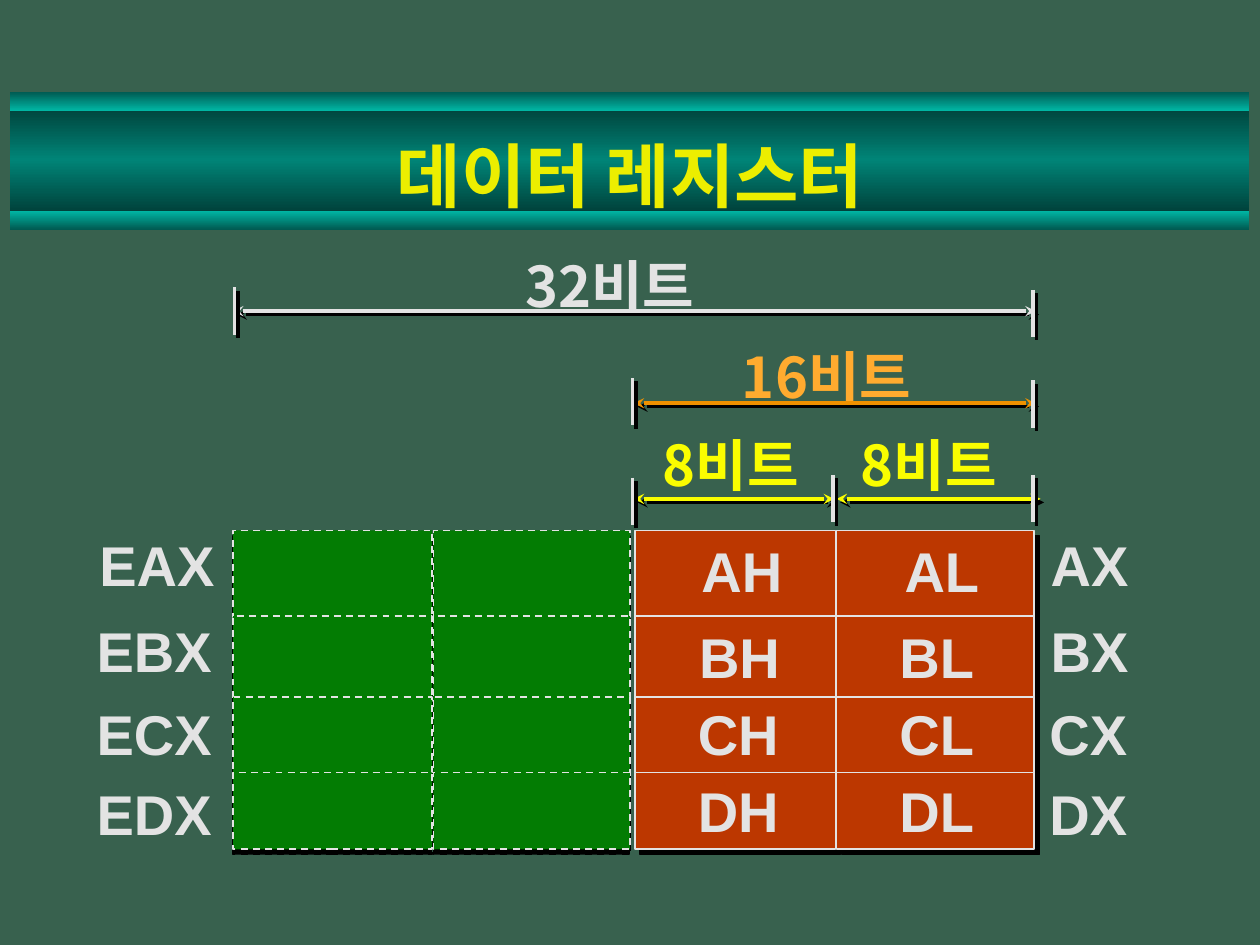
from dataclasses import dataclass
from typing import NamedTuple, Optional

from lxml import etree
from pptx import Presentation
from pptx import util as u
from pptx.dml.color import RGBColor
from pptx.enum import dml, shapes, text
from pptx.oxml.ns import qn


@dataclass(frozen=True)
class Theme:
    background: str = "38614E"
    title: str = "ECEE00"
    ink: str = "E3E3E3"
    orange_line: str = "EF9100"
    orange_text: str = "FFAB2F"
    yellow: str = "FAFD00"
    upper_half: str = "037C03"
    lower_half: str = "BC3700"
    shadow: str = "000000"
    latin: str = "Arial"
    korean: str = "Noto Sans CJK KR"
    title_size: float = 40
    label_size: float = 32


THEME = Theme()


class Band(NamedTuple):
    top: float
    height: float
    stops: tuple


class Grid(NamedTuple):
    columns: tuple  # (left, width) pairs
    color: str
    dashed: bool
    shadow_distance: float
    shadow_angle: int


class Span(NamedTuple):
    start: float
    end: float
    y: float
    color: str


class Label(NamedTuple):
    words: str
    left: float
    top: float
    width: float
    height: float
    font: str = THEME.latin
    color: str = THEME.ink


# Lengths in points
BANDS = (
    Band(61.2, 59.8, ((0, "00423B"), (50, "008477"), (100, "00423B"))),
    Band(120.4, 10.8, ((0, "00B7A5"), (100, "005B52"))),
    Band(52.6, 10.8, ((0, "005B52"), (100, "00B7A5"))),
)
ROWS = ((303.1, 49.6), (352.1, 80), (398.2, 54), (441.4, 43.9))
LOWER_GRID = Grid(((362.9, 114.5), (478.1, 113)), THEME.lower_half, False, 4.2, 45)
UPPER_GRID = Grid(((133.2, 113.8), (247.7, 112.3)), THEME.upper_half, True, 3, 90)

SPANS = (
    Span(133.2, 591.8, 177.8, THEME.ink),
    Span(362.2, 591.8, 230.4, THEME.orange_line),
    Span(362.2, 476.6, 285.1, THEME.yellow),
    Span(478.1, 594.7, 285.1, THEME.yellow),
)
TICK_HEIGHT = 27
TICKS = ((133.9, 164.2), (590.4, 165.6), (361.4, 216), (590.4, 217.4),
         (361.4, 272.9), (475.9, 271.4), (590.4, 271.4))

BIT_LABELS = (
    Label("32비트", 293, 140.4, 126, 39.6, THEME.korean),
    Label("16비트", 416.9, 192.2, 126, 39.6, THEME.korean, THEME.orange_text),
    Label("8비트", 371.5, 242.6, 105, 39.6, THEME.korean, THEME.yellow),
    Label("8비트", 484.6, 242.6, 105, 39.6, THEME.korean, THEME.yellow),
)
REGISTERS = "ABCD"
# Name pattern, left of each row, top of each row
NAME_COLUMNS = (
    ("{}H", (393.8, 392.4, 391.7, 391.7), (303.1, 352.1, 396, 439.9)),
    ("{}L", (509.8, 506.9, 506.9, 506.9), (303.1, 352.1, 396, 439.9)),
    ("{}X", (593.3, 593.3, 592.6, 592.6), (299.5, 348.5, 396, 442.1)),
    ("E{}X", (49.7, 48.2, 48.2, 48.2), (299.5, 348.5, 396, 442.1)),
)


def rgb(color: str) -> RGBColor:
    return RGBColor.from_string(color)


def shadow_effect(distance: float, angle: int):
    effects = etree.Element(qn("a:effectLst"))
    outer = etree.SubElement(effects, qn("a:outerShdw"), dist=str(int(u.Pt(distance))),
                             dir=str(angle * 60000), algn="ctr", rotWithShape="0")
    etree.SubElement(outer, qn("a:srgbClr"), val=THEME.shadow)
    return effects


def add_run(paragraph, words: str, font: str, size: float, color: str) -> None:
    run = paragraph.add_run()
    run.text = words
    run.font.size, run.font.bold, run.font.name = u.Pt(size), True, font
    run.font.color.rgb = rgb(color)
    props = run.font._element if hasattr(run.font, "_element") else run._r.get_or_add_rPr()
    props.find(qn("a:solidFill")).addnext(shadow_effect(2.8, 45))
    props.find(qn("a:latin")).addnext(etree.Element(qn("a:ea"), typeface=font))


def draw_band(slide, band: Band) -> None:
    bar = slide.shapes.add_shape(shapes.MSO_SHAPE.RECTANGLE, u.Pt(5.8), u.Pt(band.top),
                                 u.Pt(708), u.Pt(band.height))
    bar.shadow.inherit = False
    bar.line.fill.background()
    bar.fill.gradient()
    bar.fill.gradient_angle = 270
    stops = next(bar.element.iter(qn("a:gsLst")))
    for old in list(stops):
        stops.remove(old)
    for position, color in band.stops:
        stop = etree.SubElement(stops, qn("a:gs"), pos=str(position * 1000))
        etree.SubElement(stop, qn("a:srgbClr"), val=color)


def draw_grid(slide, grid: Grid) -> None:
    group = slide.shapes.add_group_shape()
    for left, width in grid.columns:
        for top, height in ROWS:
            cell = group.shapes.add_shape(shapes.MSO_SHAPE.RECTANGLE, u.Pt(left),
                                          u.Pt(top), u.Pt(width), u.Pt(height))
            cell.fill.solid()
            cell.fill.fore_color.rgb = rgb(grid.color)
            cell.line.color.rgb = rgb(THEME.ink)
            cell.line.width = u.Pt(1)
            if grid.dashed:
                cell.line.dash_style = dml.MSO_LINE.DASH
            cell.element.spPr.append(shadow_effect(grid.shadow_distance, grid.shadow_angle))


def draw_line(slide, x1: float, y1: float, x2: float, y2: float, color: str,
              arrow: Optional[str] = None) -> None:
    rule = slide.shapes.add_connector(shapes.MSO_CONNECTOR.STRAIGHT,
                                      u.Pt(x1), u.Pt(y1), u.Pt(x2), u.Pt(y2))
    rule.line.color.rgb = rgb(color)
    rule.line.width = u.Pt(2)
    if arrow:
        stroke = rule.line._get_or_add_ln()
        for end in ("a:headEnd", "a:tailEnd"):
            etree.SubElement(stroke, qn(end), type=arrow)
    rule.element.spPr.append(shadow_effect(2.8, 45))


def draw_label(slide, label: Label) -> None:
    box = slide.shapes.add_textbox(u.Pt(label.left), u.Pt(label.top),
                                   u.Pt(label.width), u.Pt(label.height))
    box.text_frame.word_wrap = True
    paragraph = box.text_frame.paragraphs[0]
    props = paragraph._p.get_or_add_pPr()
    props.set("marL", str(int(u.Pt(27))))
    props.set("indent", str(int(u.Pt(-27))))
    add_run(paragraph, label.words, label.font, THEME.label_size, label.color)


def draw_title(slide, words: str) -> None:
    title = slide.shapes.title
    title.left, title.top = u.Pt(54), u.Pt(70.6)
    title.width, title.height = u.Pt(612), u.Pt(58.3)
    title.text_frame.vertical_anchor = text.MSO_ANCHOR.MIDDLE
    paragraph = title.text_frame.paragraphs[0]
    paragraph.alignment = text.PP_ALIGN.CENTER
    add_run(paragraph, words, THEME.korean, THEME.title_size, THEME.title)
    title.element.getparent().append(title.element)  # in front of the bands


def main() -> None:
    deck = Presentation()
    deck.slide_width, deck.slide_height = u.Pt(720), u.Pt(540)
    slide = deck.slides.add_slide(deck.slide_layouts[5])
    slide.background.fill.solid()
    slide.background.fill.fore_color.rgb = rgb(THEME.background)

    # Title on its banner
    for band in BANDS:
        draw_band(slide, band)
    draw_title(slide, "데이터 레지스터")

    # Register halves
    for grid in (LOWER_GRID, UPPER_GRID):
        draw_grid(slide, grid)

    # Bit widths
    for label in BIT_LABELS:
        draw_label(slide, label)
    for span in SPANS:
        draw_line(slide, span.start, span.y, span.end, span.y, span.color, "stealth")
    for x, top in TICKS:
        draw_line(slide, x, top, x, top + TICK_HEIGHT, THEME.ink)

    # Register names
    for pattern, lefts, tops in NAME_COLUMNS:
        for letter, left, top in zip(REGISTERS, lefts, tops):
            draw_label(slide, Label(pattern.format(letter), left, top, 86.4, 34.6))

    deck.save("out.pptx")


if __name__ == "__main__":
    main()
